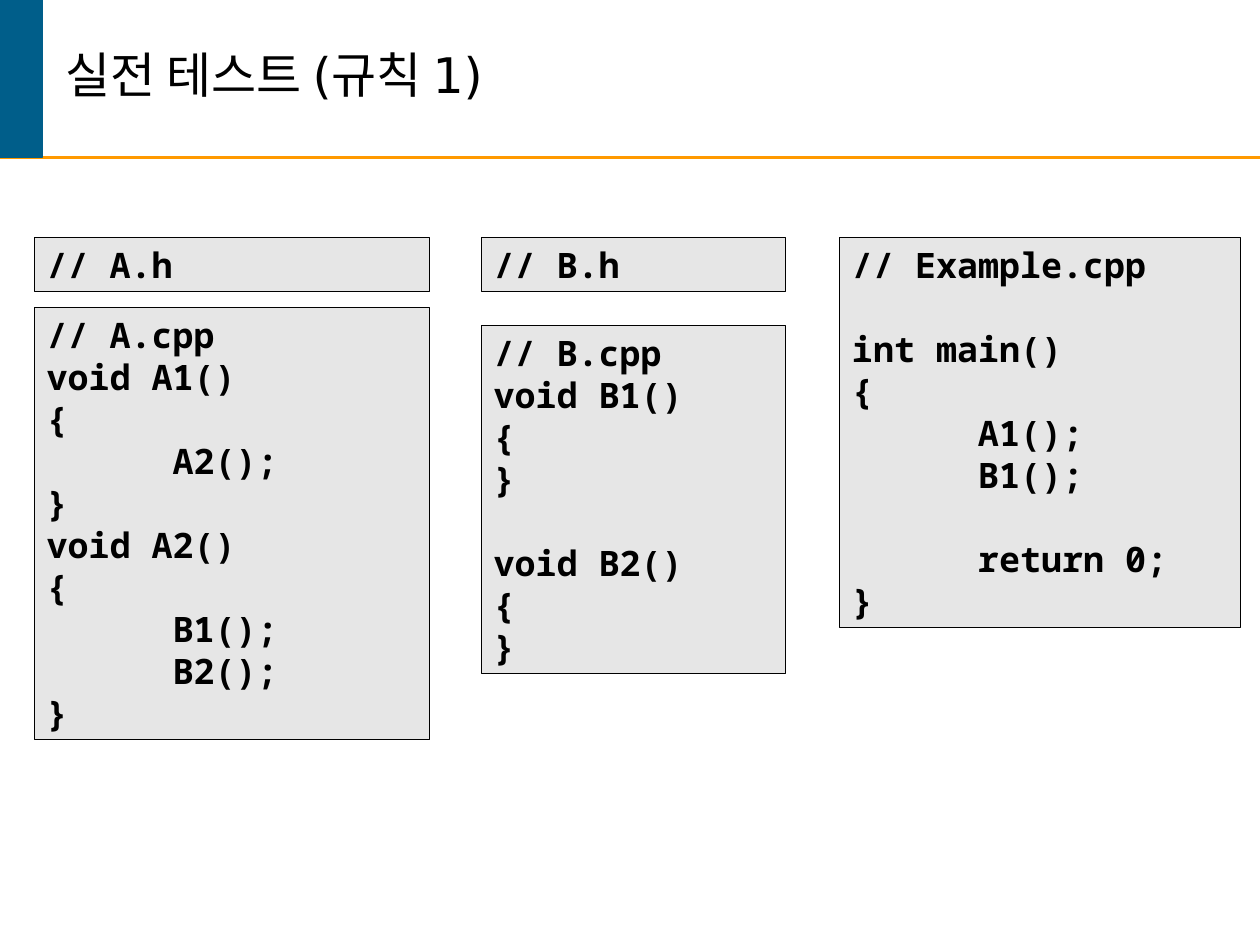
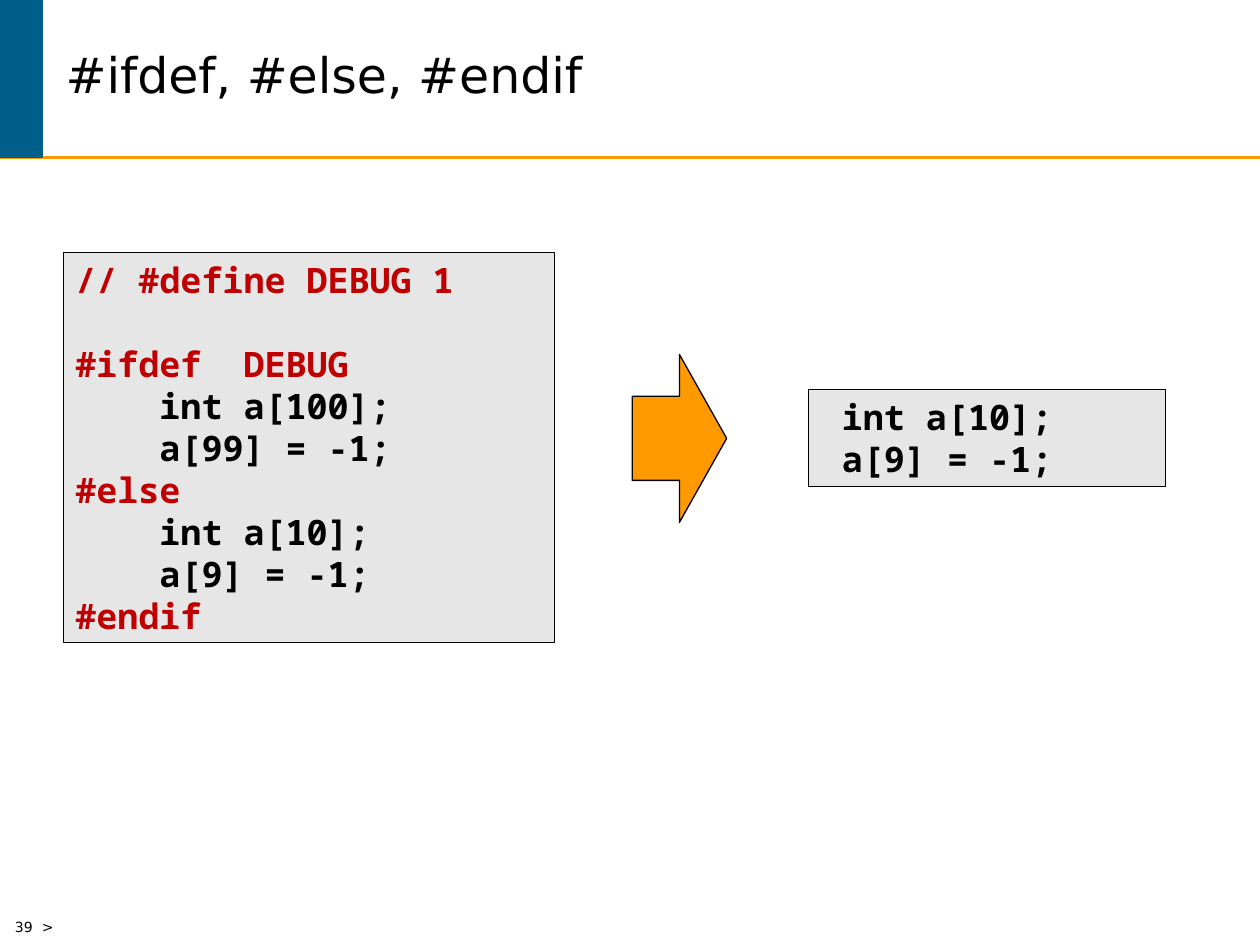
"""Builds two slides on C++ source files and conditional compilation."""
from dataclasses import dataclass

from lxml import etree
from pptx import Presentation
from pptx.dml.color import RGBColor
from pptx.enum.shapes import MSO_CONNECTOR, MSO_SHAPE
from pptx.enum.text import MSO_ANCHOR, MSO_AUTO_SIZE, PP_ALIGN
from pptx.oxml.ns import qn
from pptx.util import Pt

RECTANGLE, ARROW = MSO_SHAPE.RECTANGLE, MSO_SHAPE.RIGHT_ARROW
STRAIGHT = MSO_CONNECTOR.STRAIGHT
TOP, MIDDLE = MSO_ANCHOR.TOP, MSO_ANCHOR.MIDDLE
FIT_SHAPE, NO_FIT = MSO_AUTO_SIZE.SHAPE_TO_FIT_TEXT, MSO_AUTO_SIZE.NONE
LEFT = PP_ALIGN.LEFT

BLUE, ORANGE, GREY, BLACK, RED = "005E8A", "FF9900", "E6E6E6", "000000", "C00000"
TEXT_FONT, CODE_FONT = "DejaVu Sans", "Noto Sans Mono"
PAGE_WIDTH, PAGE_HEIGHT = 720, 540
HEADER_HEIGHT, BAND_WIDTH = 90, 24
TITLE_LEFT, TITLE_WIDTH = 30.25, 671.75
LINE_HEIGHT, CODE_PADDING = 24, 7.2
TAB_WIDTH = 72


@dataclass
class CodeBox:
    """A listing in a box whose height follows from its number of lines."""
    left: float
    top: float
    width: float
    code: str


@dataclass
class Page:
    """The title and the listings of one slide."""
    title: str
    boxes: list[CodeBox]


A_CPP = """// A.cpp
void A1()
{
\tA2();
}
void A2()
{
\tB1();
\tB2();
}"""

B_CPP = """// B.cpp
void B1()
{
}

void B2()
{
}"""

EXAMPLE_CPP = """// Example.cpp

int main()
{
\tA1();
\tB1();

\treturn 0;
}"""

IFDEF_CODE = """// #define DEBUG 1

#ifdef  DEBUG
    int a[100];
    a[99] = -1;
#else
    int a[10];
    a[9] = -1;
#endif"""

RESULT_CODE = """ int a[10];
 a[9] = -1;"""

FILES_TOP = 135.5
FILES_PAGE = Page("실전 테스트 (규칙 1)", [
    CodeBox(479.75, FILES_TOP, 229, EXAMPLE_CPP),
    CodeBox(19.5, 175.5, 226, A_CPP),
    CodeBox(275, 185.75, 174, B_CPP),
    CodeBox(19.5, FILES_TOP, 226, "// A.h"),
    CodeBox(275, FILES_TOP, 174, "// B.h"),
])
IFDEF_PAGE = Page("#ifdef, #else, #endif", [
    CodeBox(36, 144, 281, IFDEF_CODE),
    CodeBox(462, 222.5, 204, RESULT_CODE),
])


def rgb(colour: str) -> RGBColor:
    """Turn a hex string into a colour."""
    return RGBColor.from_string(colour)


def write(para, text: str, *, size: float, font: str = TEXT_FONT, colour: str = BLACK,
          bold: bool = False, before: float = 0, spacing: float = 1,
          tab: float = TAB_WIDTH) -> None:
    """Write formatted text into a paragraph."""
    tabs = etree.SubElement(para._p.get_or_add_pPr(), qn("a:tabLst"))
    etree.SubElement(tabs, qn("a:tab"), pos=str(int(Pt(tab))), algn="l")
    para.alignment = LEFT
    para.line_spacing = spacing
    para.space_before = Pt(before)
    span = para.add_run()
    span.text = text
    span.font.name = font
    span.font.size = Pt(size)
    span.font.bold = bold
    span.font.color.rgb = rgb(colour)


def add_box(slide, kind, left: float, top: float, width: float, height: float, *,
            fill: str, line: str = BLACK, line_width: float):
    """Add a filled, outlined shape without a shadow."""
    box = slide.shapes.add_shape(kind, Pt(left), Pt(top), Pt(width), Pt(height))
    box.shadow.inherit = False
    box.fill.solid()
    box.fill.fore_color.rgb = rgb(fill)
    box.line.color.rgb = rgb(line)
    box.line.width = Pt(line_width)
    return box


def add_header(slide, title: str) -> None:
    """Draw the rule, the side band and the title."""
    rule = slide.shapes.add_connector(
        STRAIGHT, Pt(0), Pt(HEADER_HEIGHT), Pt(PAGE_WIDTH), Pt(HEADER_HEIGHT))
    rule.line.color.rgb = rgb(ORANGE)
    rule.line.width = Pt(1.5)
    etree.SubElement(rule._element.spPr, qn("a:effectLst"))
    add_box(slide, RECTANGLE, 0, 0, BAND_WIDTH, HEADER_HEIGHT,
            fill=BLUE, line=BLUE, line_width=1)
    heading = slide.shapes.title
    heading.left, heading.top = Pt(TITLE_LEFT), Pt(0)
    heading.width, heading.height = Pt(TITLE_WIDTH), Pt(HEADER_HEIGHT)
    frame = heading.text_frame
    frame.auto_size = NO_FIT
    frame.vertical_anchor = MIDDLE
    write(frame.paragraphs[0], title, size=28, spacing=0.85)


def add_code(slide, listing: CodeBox) -> None:
    """Draw a listing, with preprocessor lines in red and blank lines as spacing."""
    lines = listing.code.split("\n")
    box = add_box(slide, RECTANGLE, listing.left, listing.top, listing.width,
                  len(lines) * LINE_HEIGHT + CODE_PADDING, fill=GREY, line_width=0.25)
    frame = box.text_frame
    frame.word_wrap = True
    frame.auto_size = FIT_SHAPE
    frame.vertical_anchor = TOP
    gap = 0
    for number, line in enumerate(lines):
        if not line:
            gap += LINE_HEIGHT
            continue
        para = frame.add_paragraph() if number else frame.paragraphs[0]
        write(para, line, size=20, font=CODE_FONT, bold=True, before=gap,
              colour=RED if "#" in line else BLACK)
        gap = 0


def add_page_number(slide, number: int) -> None:
    """Write the page number and its mark in the lower left corner."""
    box = slide.shapes.add_textbox(Pt(1.5), Pt(521.25), Pt(100.75), Pt(18.75))
    box.text_frame.word_wrap = True
    write(box.text_frame.paragraphs[0], f"{number}\t>", size=8, tab=15.4)


def add_page(deck, page: Page):
    """Add a slide with its header and listings."""
    slide = deck.slides.add_slide(deck.slide_layouts[5])
    add_header(slide, page.title)
    for listing in page.boxes:
        add_code(slide, listing)
    return slide


def main() -> None:
    """Build and save the deck."""
    deck = Presentation()
    deck.slide_width, deck.slide_height = Pt(PAGE_WIDTH), Pt(PAGE_HEIGHT)
    add_page(deck, FILES_PAGE)
    ifdef_slide = add_page(deck, IFDEF_PAGE)
    add_box(ifdef_slide, ARROW, 361.25, 202.5, 54, 96, fill=ORANGE, line_width=0.75)
    add_page_number(ifdef_slide, 39)
    deck.save("out.pptx")


if __name__ == "__main__":
    main()
